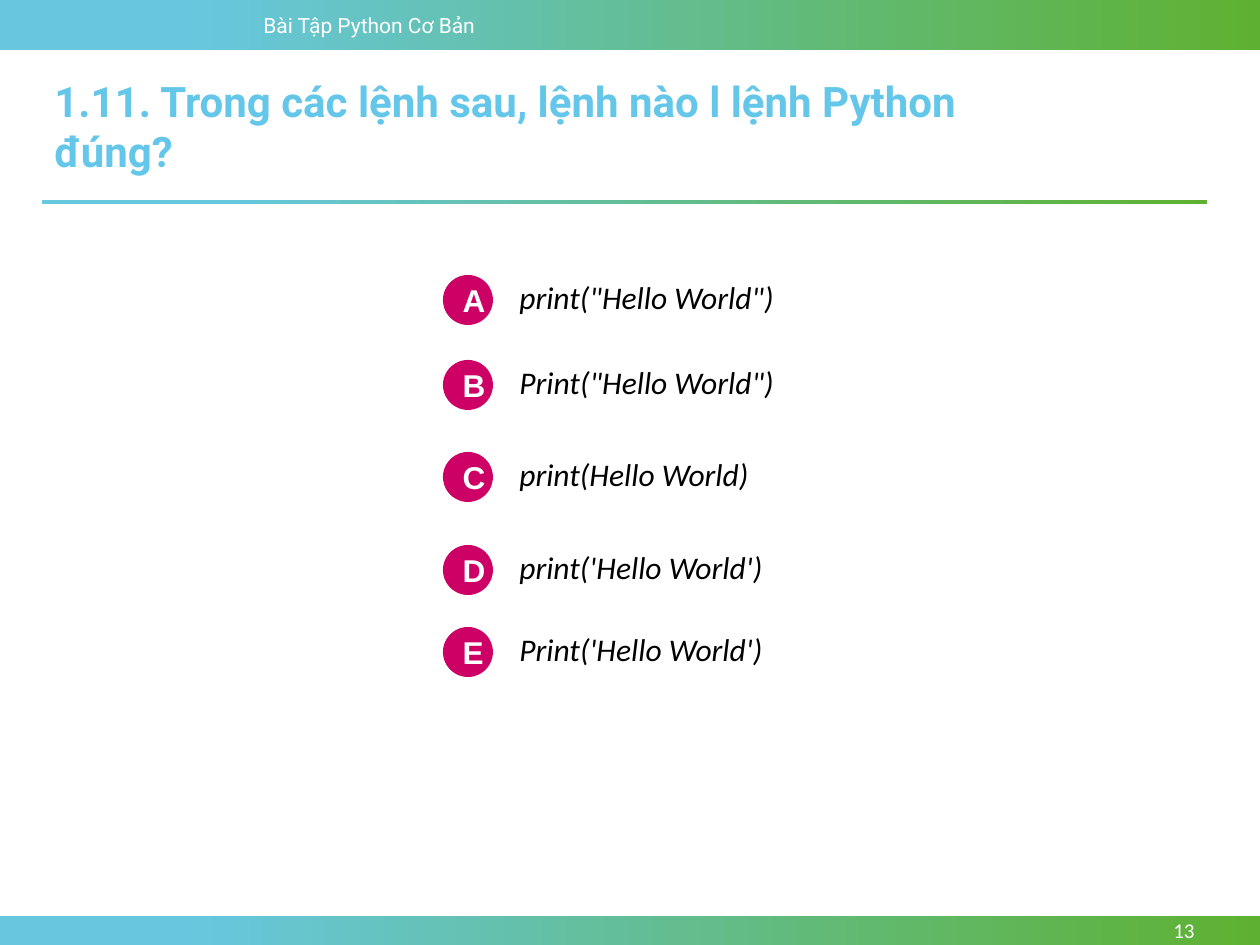
from pptx import Presentation, util as u
from pptx.dml.color import RGBColor
from pptx.enum import shapes, text

PX = u.Inches(1) / 126
COLORS = {
    "sky": "67C7DF", "green": "5EB130", "title": "64C7E9",
    "badge": "CD0065", "white": "FFFFFF", "black": "000000",
}


def color(name):
    return RGBColor.from_string(COLORS[name])


def write(shape, words, size, font_name, font_color, bold=False, italic=False,
          align=text.PP_ALIGN.LEFT, anchor=text.MSO_ANCHOR.TOP):
    """Put one styled run into the shape's text frame."""
    frame = shape.text_frame
    frame.word_wrap = True
    frame.vertical_anchor = anchor
    paragraph = frame.paragraphs[0]
    paragraph.alignment = align
    run = paragraph.add_run()
    run.text = words
    font = run.font
    font.size, font.name = u.Pt(size), font_name
    font.bold, font.italic = bold, italic
    font.color.rgb = color(font_color)


presentation = Presentation()
presentation.slide_width = u.Inches(10)
presentation.slide_height = u.Inches(7.5)
slide = presentation.slides.add_slide(presentation.slide_layouts[6])

# Header bar, footer bar and the rule under the title
for box in [(0, 0, 1260, 50), (0, 916, 1260, 29), (42, 200, 1165, 4)]:
    bar = slide.shapes.add_shape(
        shapes.MSO_SHAPE.RECTANGLE, *(round(n * PX) for n in box))
    bar.shadow.inherit = False
    bar.line.fill.background()
    bar.fill.gradient()
    bar.fill.gradient_angle = 0
    for stop, position, name in zip(bar.fill.gradient_stops, (0.15, 1), ("sky", "green")):
        stop.position = position
        stop.color.rgb = color(name)

# Header, page number and question
labels = [
    ((251, 6, 284, 38), "Bài Tập Python Cơ Bản", 12, "Roboto", "white", {}),
    ((1091, 916, 116, 29), "13", 12, "Calibri", "white",
     {"align": text.PP_ALIGN.RIGHT, "anchor": text.MSO_ANCHOR.MIDDLE}),
    ((42, 69, 999, 63), "1.11. Trong các lệnh sau, lệnh nào l lệnh Python đúng?",
     24, "Roboto", "title", {"bold": True}),
]
for box, words, size, font_name, font_color, style in labels:
    label = slide.shapes.add_textbox(*(round(n * PX) for n in box))
    write(label, words, size, font_name, font_color, **style)

# Answers: a lettered badge with its statement
answers = [
    (275, "A", 'print("Hello World")'),
    (360, "B", 'Print("Hello World")'),
    (452, "C", "print(Hello World)"),
    (545, "D", "print('Hello World')"),
    (627, "E", "Print('Hello World')"),
]
for top, letter, statement in answers:
    badge = slide.shapes.add_shape(
        shapes.MSO_SHAPE.OVAL, *(round(n * PX) for n in (443, top, 50, 50)))
    badge.shadow.inherit = False
    badge.fill.solid()
    badge.fill.fore_color.rgb = color("badge")
    badge.line.fill.background()
    write(badge, letter, 18, "Arial", "white", bold=True,
          align=text.PP_ALIGN.CENTER, anchor=text.MSO_ANCHOR.MIDDLE)
    answer = slide.shapes.add_textbox(
        *(round(n * PX) for n in (507, top - 3, 348, 50)))
    write(answer, statement, 18, "Calibri", "black", italic=True)

presentation.save("out.pptx")
